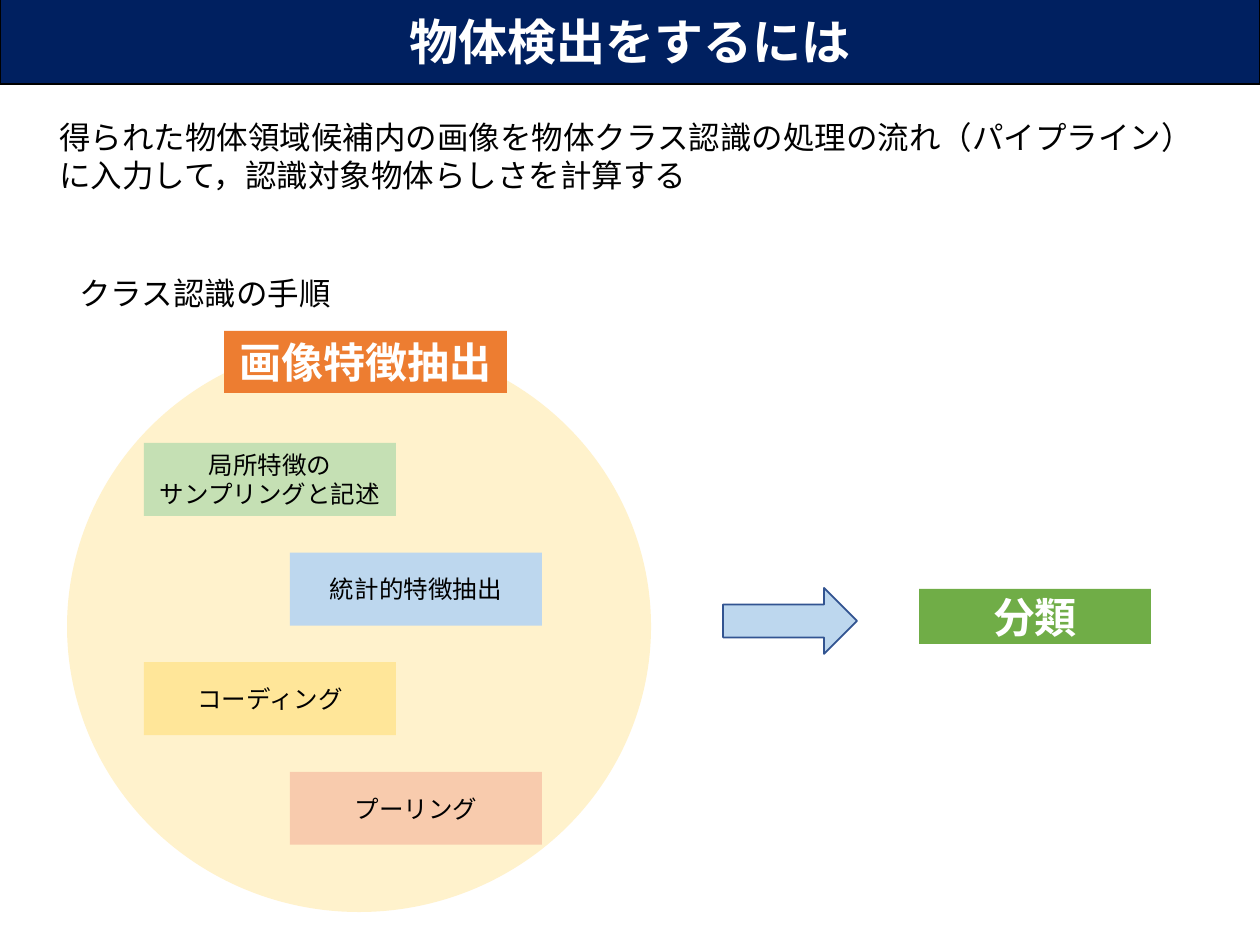
import pptx
import pptx.util
import pptx.dml.color
import pptx.enum.shapes
import pptx.enum.text
import lxml.etree

RGB = pptx.dml.color.RGBColor
SHAPE = pptx.enum.shapes.MSO_SHAPE
ALIGN = pptx.enum.text.PP_ALIGN
ANCHOR = pptx.enum.text.MSO_ANCHOR

WHITE = RGB(0xFF, 0xFF, 0xFF)
BLACK = RGB(0x00, 0x00, 0x00)
NAVY = RGB(0x00, 0x20, 0x60)
CREAM = RGB(0xFF, 0xF2, 0xCC)
ORANGE = RGB(0xED, 0x7D, 0x31)
GREEN = RGB(0x70, 0xAD, 0x47)
PALE_GREEN = RGB(0xC5, 0xE0, 0xB4)
PALE_BLUE = RGB(0xBD, 0xD7, 0xEE)
PALE_YELLOW = RGB(0xFF, 0xE6, 0x99)
PALE_ORANGE = RGB(0xF8, 0xCB, 0xAD)
ARROW_EDGE = RGB(0x32, 0x54, 0x91)
FONT = "Noto Sans CJK JP"

# Content
TITLE = "物体検出をするには"
NOTES = [
    ("得られた物体領域候補内の画像を物体クラス認識の処理の流れ（パイプライン）"
     "に入力して，認識対象物体らしさを計算する", (47, 112, 1178, 89)),
    ("クラス認識の手順", (67, 268, 284, 50)),
]
EXTRACTION = "画像特徴抽出"
STEPS = [
    ("局所特徴の\nサンプリングと記述", PALE_GREEN),
    ("統計的特徴抽出", PALE_BLUE),
    ("コーディング", PALE_YELLOW),
    ("プーリング", PALE_ORANGE),
]
CLASSIFICATION = "分類"

# Steps alternate between two columns at an equal pitch
STEP_COLUMNS = (144, 290)
STEP_TOP, STEP_PITCH = 443, 109.6
STEP_WIDTH, STEP_HEIGHT = 252, 73


def px(value):
    return pptx.util.Emu(round(value * 914400 / 126))


def write(shape, text, size, color, bold=False, align=ALIGN.CENTER):
    frame = shape.text_frame
    frame.word_wrap = True
    frame.text = text
    for para in frame.paragraphs:
        para.alignment = align
        for span in para.runs:
            font = span.font
            font.size = pptx.util.Pt(size)
            font.bold = bold
            font.color.rgb = color
            font.name = FONT
            latin = font._element.find(pptx.oxml.ns.qn("a:latin"))
            east_asian = lxml.etree.Element(pptx.oxml.ns.qn("a:ea"), typeface=FONT)
            latin.addnext(east_asian)


def add_block(kind, area, fill, line=None):
    shape = page.shapes.add_shape(kind, *map(px, area))
    shape.shadow.inherit = False
    shape.fill.solid()
    shape.fill.fore_color.rgb = fill
    if line is None:
        shape.line.fill.background()
    else:
        shape.line.color.rgb = line
        shape.line.width = pptx.util.Pt(1)
    shape.text_frame.vertical_anchor = ANCHOR.MIDDLE
    return shape


deck = pptx.Presentation()
deck.slide_width, deck.slide_height = px(1260), px(945)
page = deck.slides.add_slide(deck.slide_layouts[6])

# Title band
band = add_block(SHAPE.RECTANGLE, (0, -2, 1260, 86), NAVY, BLACK)
write(band, TITLE, 28, WHITE, bold=True)

# Feature extraction circle and its heading
add_block(SHAPE.OVAL, (67, 341, 584, 571), CREAM)
heading = add_block(SHAPE.RECTANGLE, (224, 331, 283, 62), ORANGE)
write(heading, EXTRACTION, 24, WHITE, bold=True)

# Steps inside the circle
for index, (label, fill) in enumerate(STEPS):
    area = (STEP_COLUMNS[index % 2], STEP_TOP + index * STEP_PITCH,
            STEP_WIDTH, STEP_HEIGHT)
    step = add_block(SHAPE.RECTANGLE, area, fill)
    write(step, label, 14, BLACK)

# Classification and the arrow leading to it
result = add_block(SHAPE.RECTANGLE, (919, 589, 232, 55), GREEN)
write(result, CLASSIFICATION, 24, WHITE, bold=True)
add_block(SHAPE.RIGHT_ARROW, (723, 588, 134, 66), PALE_BLUE, ARROW_EDGE)

# Explanatory text
for text, area in NOTES:
    box = page.shapes.add_textbox(*map(px, area))
    write(box, text, 18, BLACK, align=ALIGN.LEFT)

deck.save("out.pptx")
